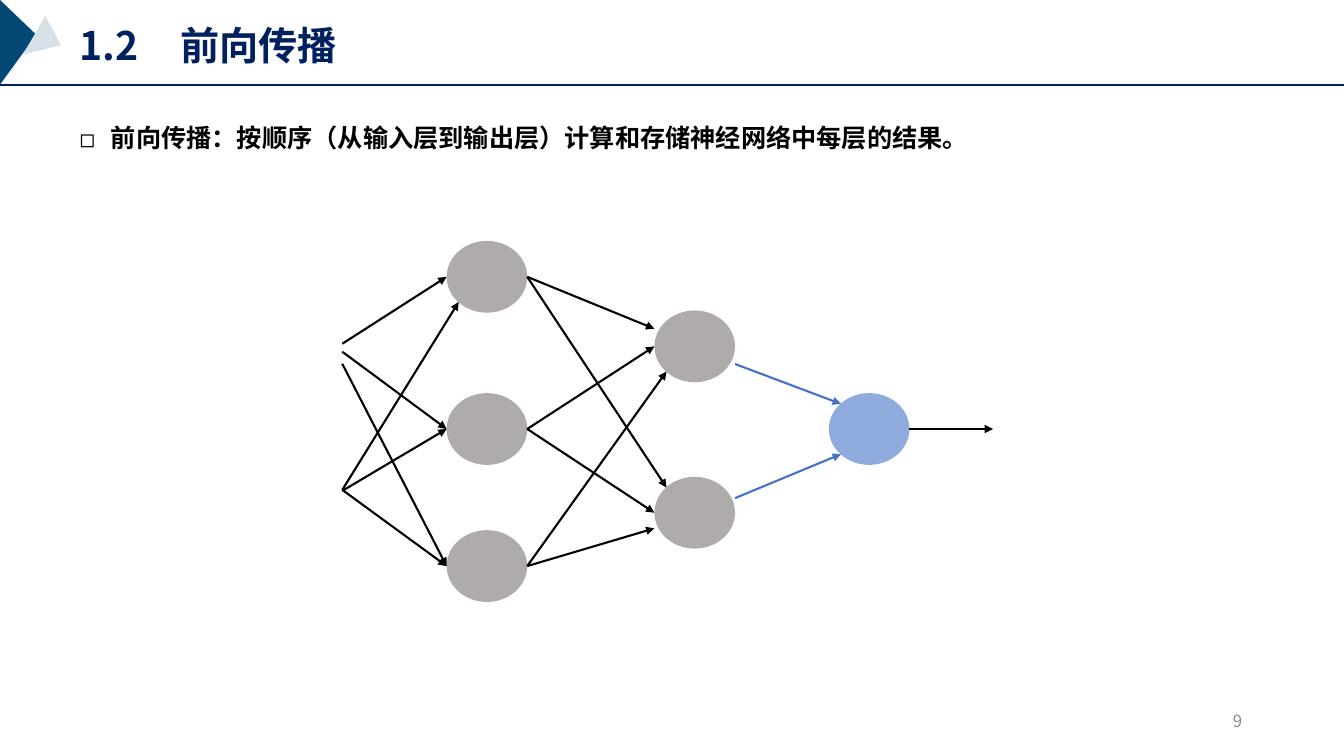
from dataclasses import dataclass

from lxml.etree import SubElement
from pptx import Presentation
from pptx.dml.color import RGBColor
from pptx.enum.shapes import MSO_CONNECTOR, MSO_SHAPE
from pptx.enum.text import MSO_ANCHOR, MSO_AUTO_SIZE, PP_ALIGN
from pptx.oxml.ns import qn
from pptx.util import Inches, Pt


@dataclass(frozen=True)
class Theme:
    navy: str = "002060"
    teal: str = "044875"
    mist: str = "D6E0E6"
    black: str = "000000"
    muted: str = "898989"
    hidden: str = "AFABAB"
    output: str = "8FAADC"
    blue: str = "4472C4"
    cjk: str = "Noto Sans CJK SC"
    serif: str = "Times New Roman"
    title: int = 28
    body: int = 18
    small: int = 12
    line: float = 1.5


@dataclass(frozen=True)
class Node:
    left: float
    top: float
    fill: str


@dataclass(frozen=True)
class Corner:
    box: tuple[float, float, float, float]
    rotation: float
    apex: float
    fill: str


@dataclass(frozen=True)
class Edge:
    """From (node, port) to (node, port), with vertical shifts of the ends."""
    start: tuple[str, str]
    end: tuple[str, str]
    start_dy: float = 0
    end_dy: float = 0
    color: str = "000000"


# All positions are percentages of the slide's width and height.
THEME = Theme()
WIDTH, HEIGHT = Inches(13.33), Inches(7.5)
NODE_W, NODE_H = 6, 9.5
PORTS = {"left": (0, 0.5), "right": (1, 0.5), "upper": (0.15, 0.15), "lower": (0.15, 0.85)}
CORNERS = [
    Corner((-1.8, 3.2, 6.3, 4.8), 90, 0.41, THEME.teal),
    Corner((1.8, 3.73, 3.3, 3.73), 120.2, 0.39, THEME.mist),
]
NODES = {
    "a1": Node(33.23, 31.87, THEME.hidden),
    "a2": Node(33.23, 52, THEME.hidden),
    "a3": Node(33.23, 70.13, THEME.hidden),
    "b1": Node(48.69, 41.07, THEME.hidden),
    "b2": Node(48.69, 63.07, THEME.hidden),
    "out": Node(61.67, 52, THEME.output),
}
INPUTS = {
    "x1": {"a1": 45.47, "a2": 46.53, "a3": 48.13},
    "x2": {"a1": 64.8, "a2": 64.93, "a3": 64.8},
}
INPUT_X = 25.47
EDGES = [
    Edge(("a1", "right"), ("b1", "left"), end_dy=-2.33),
    Edge(("a1", "right"), ("b2", "upper")),
    Edge(("a2", "right"), ("b1", "left")),
    Edge(("a2", "right"), ("b2", "left")),
    Edge(("a3", "right"), ("b1", "lower")),
    Edge(("a3", "right"), ("b2", "left"), end_dy=2.07),
    Edge(("b1", "right"), ("out", "upper"), start_dy=2.33, color=THEME.blue),
    Edge(("b2", "right"), ("out", "lower"), start_dy=-1.93, color=THEME.blue),
]


def across(pct: float) -> int:
    return round(WIDTH * pct / 100)


def down(pct: float) -> int:
    return round(HEIGHT * pct / 100)


def frame(left: float, top: float, width: float, height: float) -> tuple[int, ...]:
    return across(left), down(top), across(width), down(height)


def port(name: str, side: str, dy: float = 0) -> tuple[float, float]:
    node, (fx, fy) = NODES[name], PORTS[side]
    return node.left + fx * NODE_W, node.top + fy * NODE_H + dy


def add_filled(slide, kind, box: tuple, fill: str):
    sp = slide.shapes.add_shape(kind, *frame(*box))
    sp.shadow.inherit = False
    sp.fill.solid()
    sp.fill.fore_color.rgb = RGBColor.from_string(fill)
    sp.line.fill.background()
    return sp


def add_line(slide, start: tuple, end: tuple, color: str, arrow: bool = True) -> None:
    ends = (across(start[0]), down(start[1]), across(end[0]), down(end[1]))
    cx = slide.shapes.add_connector(MSO_CONNECTOR.STRAIGHT, *ends)
    cx.line.width = Pt(THEME.line)
    cx.line.color.rgb = RGBColor.from_string(color)
    if arrow:
        SubElement(cx.line._get_or_add_ln(), qn("a:tailEnd"), type="triangle")
    SubElement(cx._element.spPr, qn("a:effectLst"))


def write(sp, box: tuple, text: str, font: dict, color: str,
          anchor=MSO_ANCHOR.MIDDLE, align=PP_ALIGN.LEFT):
    """Place a text shape, fill its one paragraph and return that paragraph."""
    sp.left, sp.top, sp.width, sp.height = frame(*box)
    tf = sp.text_frame
    settings = {"word_wrap": True, "auto_size": MSO_AUTO_SIZE.NONE, "vertical_anchor": anchor}
    for name, value in settings.items():
        setattr(tf, name, value)
    p = tf.paragraphs[0]
    p.alignment, p.space_before = align, Pt(0)
    r = p.add_run()
    r.text = text
    for name, value in font.items():
        setattr(r.font, name, value)
    r.font.color.rgb = RGBColor.from_string(color)
    SubElement(r._r.get_or_add_rPr(), qn("a:ea"), typeface=THEME.cjk)
    return p


def add_square_bullet(p) -> None:
    pPr = p._p.get_or_add_pPr()
    pPr.set("marL", str(Inches(0.31)))
    pPr.set("indent", str(-Inches(0.31)))
    SubElement(pPr, qn("a:buFont"), typeface=THEME.cjk)
    SubElement(pPr, qn("a:buChar"), char="◻")


def add_texts(slide) -> None:
    write(slide.shapes.title, (5.18, 2.13, 44.94, 7.6), "1.2\t前向传播",
          {"name": THEME.cjk, "size": Pt(THEME.title), "bold": True}, THEME.navy)
    p = write(slide.placeholders[1], (5.18, 11.47, 69.47, 8.27),
              "前向传播：按顺序（从输入层到输出层）计算和存储神经网络中每层的结果。",
              {"name": THEME.serif, "size": Pt(THEME.body), "bold": True},
              THEME.black, anchor=MSO_ANCHOR.TOP)
    p.line_spacing = 2.0
    add_square_bullet(p)
    number_box = (70.67, 92.67, 22.5, 5.33)
    write(slide.shapes.add_textbox(*frame(*number_box)), number_box, "9",
          {"name": THEME.cjk, "size": Pt(THEME.small)}, THEME.muted, align=PP_ALIGN.RIGHT)


def add_network(slide) -> None:
    for node in NODES.values():
        add_filled(slide, MSO_SHAPE.OVAL, (node.left, node.top, NODE_W, NODE_H), node.fill)
    for targets in INPUTS.values():
        for target, y in targets.items():
            # The second input reaches the top node from below.
            side = "lower" if target == "a1" and targets is INPUTS["x2"] else "left"
            add_line(slide, (INPUT_X, y), port(target, side), THEME.black)
    for edge in EDGES:
        add_line(slide, port(*edge.start, edge.start_dy), port(*edge.end, edge.end_dy), edge.color)
    x, y = port("out", "right")
    add_line(slide, (x, y), (x + 6.22, y), THEME.black)


def main() -> None:
    prs = Presentation()
    prs.slide_width, prs.slide_height = WIDTH, HEIGHT
    slide = prs.slides.add_slide(prs.slide_layouts[1])
    for corner in CORNERS:
        sp = add_filled(slide, MSO_SHAPE.ISOSCELES_TRIANGLE, corner.box, corner.fill)
        sp.rotation = corner.rotation
        sp.adjustments[0] = corner.apex
    add_line(slide, (0, 11.2), (100, 11.2), THEME.navy, arrow=False)
    add_texts(slide)
    add_network(slide)
    prs.save("out.pptx")


if __name__ == "__main__":
    main()
